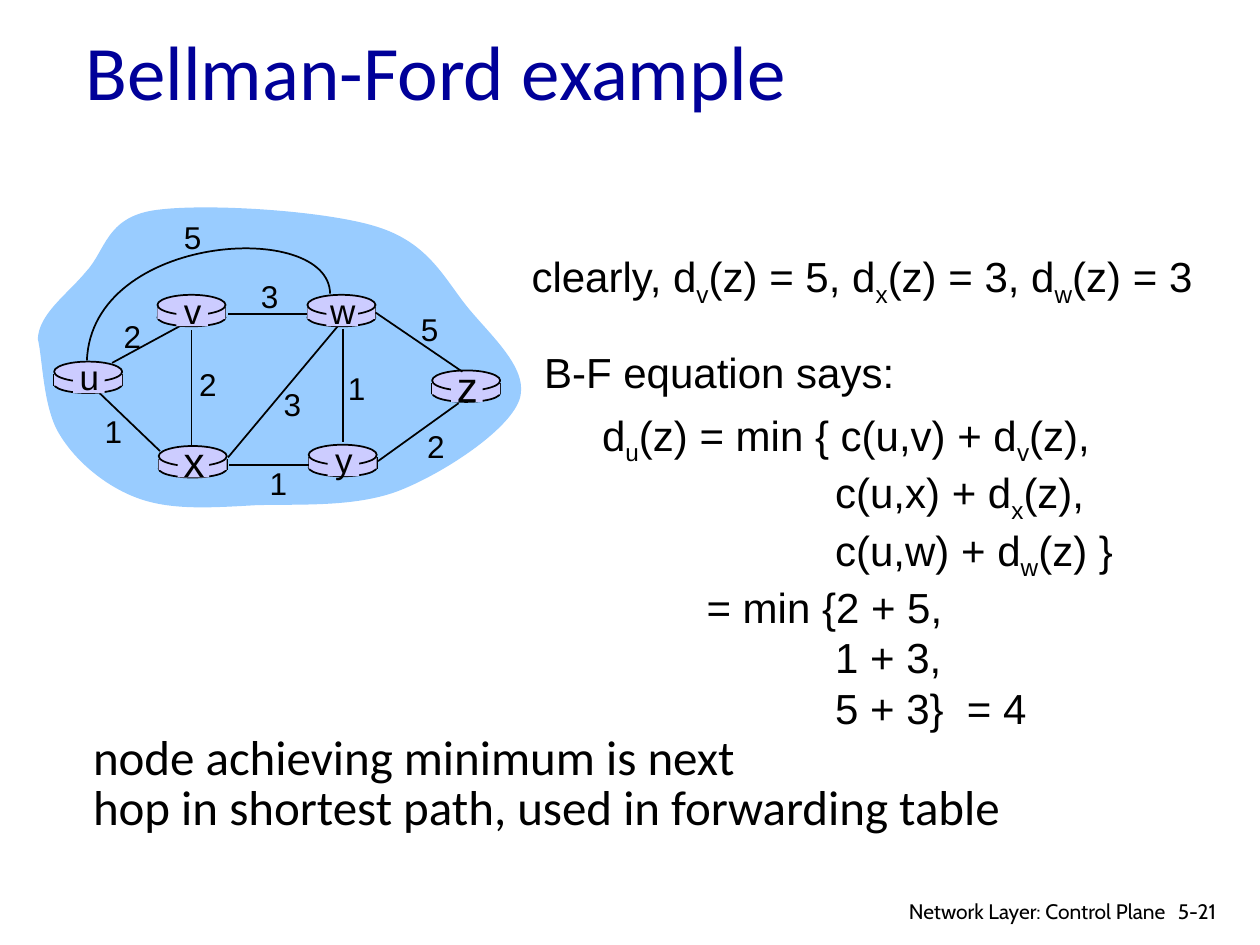
from lxml.etree import SubElement
from pptx import Presentation
from pptx.dml.color import RGBColor
from pptx.enum.shapes import MSO_CONNECTOR, MSO_SHAPE
from pptx.enum.text import MSO_ANCHOR, MSO_AUTO_SIZE, PP_ALIGN
from pptx.oxml.ns import qn
from pptx.util import Inches, Pt

COLORS = {"title": "000099", "ink": "000000", "cloud": "99CCFF", "router": "CCCCFF"}

CLOUD = [
    (0.3, 2.69), (0.31, 2.49), (0.53, 2.34), (0.68, 2.16), (0.84, 1.99), (0.84, 1.73),
    (1.22, 1.67), (1.61, 1.61), (2.58, 1.67), (2.99, 1.8), (3.41, 1.93), (3.53, 2.22),
    (3.72, 2.45), (3.91, 2.68), (4.21, 2.94), (4.12, 3.18), (4.03, 3.42), (3.53, 3.75),
    (3.18, 3.89), (2.83, 4.03), (2.37, 4), (2.03, 4.01), (1.68, 4.03), (1.37, 4.05),
    (1.11, 3.96), (0.85, 3.87), (0.61, 3.67), (0.48, 3.46), (0.34, 3.25), (0.34, 2.85),
    (0.3, 2.69),
]
ARC_U_W = [(2.62, 2.33), (2.61, 1.74), (0.73, 1.85), (0.69, 2.86)]

ROUTERS = {
    "u": (0.43, 2.87, 20), "x": (1.26, 3.54, 24), "v": (1.25, 2.34, 20),
    "w": (2.44, 2.34, 20), "y": (2.45, 3.53, 20), "z": (3.43, 2.94, 24),
}
EDGE_U_V = (0.89, 2.88, 1.48, 2.56)
EDGES = [
    (2.72, 2.61, 2.72, 3.51), (1.52, 2.62, 1.52, 3.55), (1.81, 3.63, 2.68, 2.59),
    (3, 3.66, 3.64, 3.2), (2.45, 3.69, 1.82, 3.69), (1.27, 3.58, 0.79, 3.12),
    (2.44, 2.49, 1.81, 2.49), (3.67, 2.95, 2.98, 2.48),
]
COSTS = [
    ("2", 0.88, 2.47), ("2", 1.48, 2.85), ("1", 0.73, 3.22), ("3", 2.15, 3.01),
    ("1", 2.04, 3.63), ("1", 2.66, 2.88), ("2", 3.29, 3.34), ("5", 3.24, 2.41),
    ("3", 1.97, 2.15), ("5", 1.36, 1.68),
]
EQUATION = [
    ("d_u(z) = min { c(u,v) + d_v(z),", 0),
    ("c(u,x) + d_x(z),", 1.85),
    ("c(u,w) + d_w(z) }", 1.85),
    ("= min {2 + 5,", 0.83),
    ("1 + 3,", 1.85),
    ("5 + 3}  = 4", 1.85),
]


def rgb(name):
    return RGBColor.from_string(COLORS[name])


def style_run(r, size, font, color="ink"):
    r.font.size = Pt(size)
    r.font.name = font
    r.font.color.rgb = rgb(color)


def style_shape(sp, fill=None, line=False):
    sp.shadow.inherit = False
    if fill:
        sp.fill.solid()
        sp.fill.fore_color.rgb = rgb(fill)
    else:
        sp.fill.background()
    if line:
        sp.line.color.rgb = rgb("ink")
        sp.line.width = Pt(1)
    else:
        sp.line.fill.background()


def add_preset(s, kind, x, y, w, h, line=False):
    sp = s.shapes.add_shape(kind, Inches(x), Inches(y), Inches(w), Inches(h))
    style_shape(sp, "router", line)


def add_line(s, x1, y1, x2, y2):
    cxn = s.shapes.add_connector(
        MSO_CONNECTOR.STRAIGHT, Inches(x1), Inches(y1), Inches(x2), Inches(y2))
    cxn.line.color.rgb = rgb("ink")
    cxn.line.width = Pt(1)
    SubElement(cxn._element.spPr, qn("a:effectLst"))


def add_curve(s, controls, fill=None, line=False):
    points = [(Inches(x), Inches(y)) for x, y in controls]
    fb = s.shapes.build_freeform(*points[0])
    fb.add_line_segments(points[1:], close=fill is not None)
    sp = fb.convert_to_shape()
    segments = list(sp._element.iter(qn("a:lnTo")))
    for i in range(0, len(segments), 3):
        first = segments[i]
        first.tag = qn("a:cubicBezTo")
        for other in segments[i + 1:i + 3]:
            first.append(other[0])
            other.getparent().remove(other)
    style_shape(sp, fill, line)


def add_subscripted(p, text, size, font):
    first, *rest = text.split("_")
    pieces = [(first, False)]
    for part in rest:
        pieces += [(part[0], True), (part[1:], False)]
    for piece, sub in pieces:
        r = p.add_run()
        r.text = piece
        style_run(r, size, font)
        if sub:
            r.font._element.set("baseline", "-25000")


def add_text(s, lines, x, y, w, h, size, font="Arial", align=PP_ALIGN.LEFT,
             spacing=None, wrap=False):
    tb = s.shapes.add_textbox(Inches(x), Inches(y), Inches(w), Inches(h))
    tf = tb.text_frame
    tf.word_wrap = wrap
    tf.auto_size = MSO_AUTO_SIZE.NONE if wrap else MSO_AUTO_SIZE.SHAPE_TO_FIT_TEXT
    for i, (text, indent) in enumerate(lines):
        p = tf.add_paragraph() if i else tf.paragraphs[0]
        p.alignment = align
        if spacing:
            p.line_spacing = spacing
        if indent:
            p._p.get_or_add_pPr().set("marL", str(Inches(indent)))
        add_subscripted(p, text, size, font)


def add_router(s, x, y):
    add_preset(s, MSO_SHAPE.OVAL, x, y + 0.11, 0.54, 0.14, line=True)
    for side in (x, x + 0.54):
        add_line(s, side, y + 0.1, side, y + 0.19)
    add_preset(s, MSO_SHAPE.RECTANGLE, x, y + 0.1, 0.54, 0.09)
    add_preset(s, MSO_SHAPE.OVAL, x, y, 0.54, 0.16, line=True)


def add_router_name(s, name, x, y, size):
    add_preset(s, MSO_SHAPE.RECTANGLE, x + 0.15, y + 0.02, 0.25, 0.23)
    h = 0.5 if size == 24 else 0.43
    add_text(s, [(name, 0)], x + 0.08, y + 0.12 - h / 2, 0.4, h, size,
             align=PP_ALIGN.CENTER)


def add_network(s):
    add_curve(s, CLOUD, fill="cloud")
    add_line(s, *EDGE_U_V)
    for x, y, _ in ROUTERS.values():
        add_router(s, x, y)
    for edge in EDGES:
        add_line(s, *edge)
    add_curve(s, ARC_U_W, line=True)
    for name, (x, y, size) in ROUTERS.items():
        add_router_name(s, name, x, y, size)
    for cost, x, y in COSTS:
        add_text(s, [(cost, 0)], x, y, 0.34, 0.4, 18, align=PP_ALIGN.CENTER)


def add_title(s, text):
    title = s.shapes.title
    title.left, title.top = Inches(0.58), Inches(0.19)
    title.width, title.height = Inches(8.5), Inches(0.72)
    tf = title.text_frame
    tf.text = text
    tf.vertical_anchor = MSO_ANCHOR.MIDDLE
    p = tf.paragraphs[0]
    p.alignment = PP_ALIGN.LEFT
    style_run(p.runs[0], 44, "Calibri", "title")


def main():
    prs = Presentation()
    prs.slide_width, prs.slide_height = Inches(10), Inches(7.5)
    s = prs.slides.add_slide(prs.slide_layouts[5])
    add_title(s, "Bellman-Ford example")
    add_network(s)
    add_text(s, [("clearly, d_v(z) = 5, d_x(z) = 3, d_w(z) = 3", 0)],
             4.12, 1.94, 5.52, 0.5, 24)
    add_text(s, EQUATION, 4.68, 3.2, 4.27, 2.5, 24)
    add_text(s, [("node achieving minimum is next", 0),
                 ("hop in shortest path, used in forwarding table", 0)],
             0.64, 5.79, 7.4, 0.9, 28, "Calibri", spacing=0.85)
    add_text(s, [("B-F equation says:", 0)], 4.22, 2.7, 2.98, 0.5, 24)
    add_text(s, [("5-21", 0)], 9.25, 7.08, 0.6, 0.3, 12, "Cabin", wrap=True)
    add_text(s, [("Network Layer: Control Plane", 0)], 6.97, 7.08, 2.38, 0.26, 12,
             "Cabin", PP_ALIGN.RIGHT, wrap=True)
    prs.save("out.pptx")


if __name__ == "__main__":
    main()
